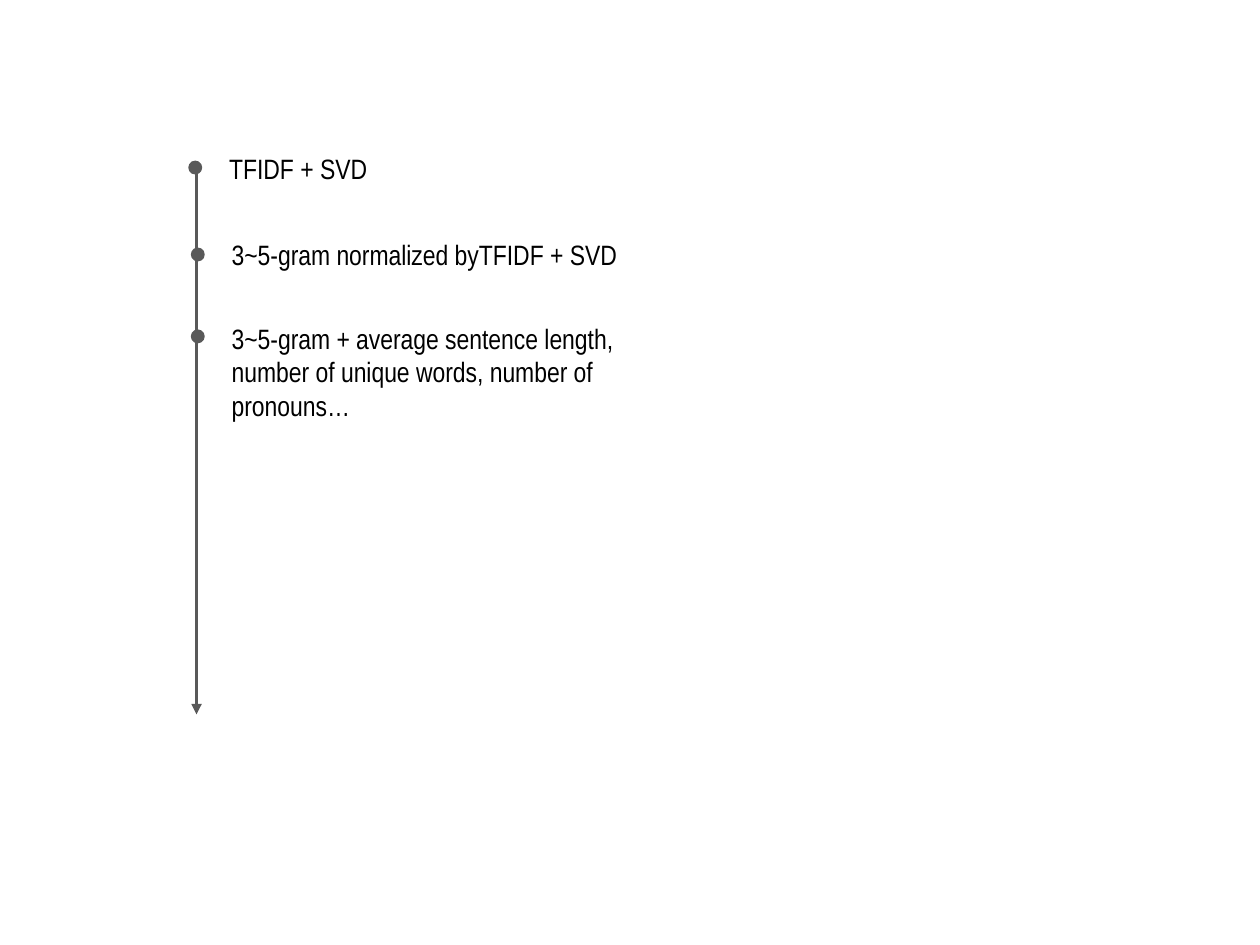
import pptx
import pptx.util
import pptx.dml.color
import pptx.enum.shapes
import pptx.enum.text
import pptx.oxml.ns
import lxml.etree

Inches = pptx.util.Inches


def color(code):
    return pptx.dml.color.RGBColor.from_string(code)


def apply(target, values):
    for name, value in values.items():
        setattr(target, name, value)


class Board:
    gray = "595959"
    font = {"name": "Arial Narrow", "size": pptx.util.Pt(16)}
    frame = {
        "word_wrap": True,
        "auto_size": pptx.enum.text.MSO_AUTO_SIZE.SHAPE_TO_FIT_TEXT,
    }

    def __init__(self, slide):
        self.slide = slide

    def stroke(self, line, width):
        line.color.rgb = color(self.gray)
        line.width = pptx.util.Pt(width)

    def arrow(self, x, top, end):
        kind = pptx.enum.shapes.MSO_CONNECTOR.STRAIGHT
        points = map(Inches, (x, top, x, end))
        axis = self.slide.shapes.add_connector(kind, *points)
        self.stroke(axis.line, 2)
        qn = pptx.oxml.ns.qn
        props = axis._element.spPr
        tail = lxml.etree.SubElement(axis.line._get_or_add_ln(), qn("a:tailEnd"))
        tail.set("type", "triangle")
        lxml.etree.SubElement(props, qn("a:effectLst"))

    def dot(self, x, y, size=0.1):
        kind = pptx.enum.shapes.MSO_SHAPE.OVAL
        box = map(Inches, (x, y, size, size))
        mark = self.slide.shapes.add_shape(kind, *box)
        mark.shadow.inherit = False
        mark.fill.solid()
        mark.fill.fore_color.rgb = color(self.gray)
        self.stroke(mark.line, 0.75)

    def label(self, text, *box):
        area = self.slide.shapes.add_textbox(*map(Inches, box))
        apply(area.text_frame, self.frame)
        run = area.text_frame.paragraphs[0].add_run()
        run.text = text
        apply(run.font, self.font)
        run.font.color.rgb = color("000000")


deck = pptx.Presentation()
apply(deck, {"slide_width": Inches(10), "slide_height": Inches(7.5)})
board = Board(deck.slides.add_slide(deck.slide_layouts[6]))

board.arrow(1.56, 1.29, 5.67)
steps = [
    ((1.5, 1.28), (1.72, 1.15, 1.92, 0.37), "TFIDF + SVD"),
    ((1.52, 1.97), (1.74, 1.84, 3.79, 0.37), "3~5-gram normalized byTFIDF + SVD"),
    (
        (1.52, 2.62),
        (1.74, 2.5, 3.79, 0.91),
        "3~5-gram + average sentence length, number of unique words, "
        "number of pronouns…",
    ),
]
for spot, box, text in steps:
    board.dot(*spot)
    board.label(text, *box)

deck.save("out.pptx")
